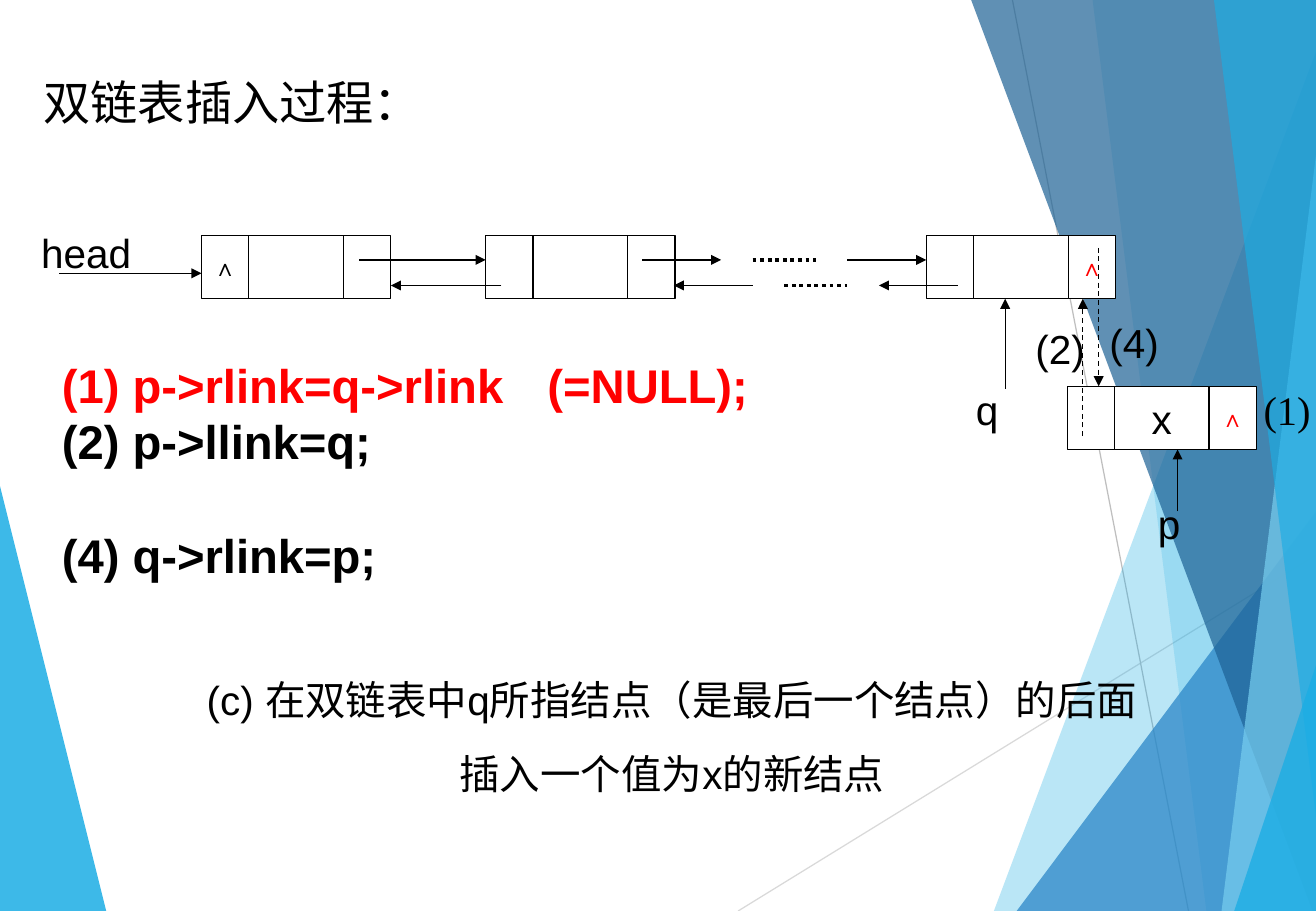
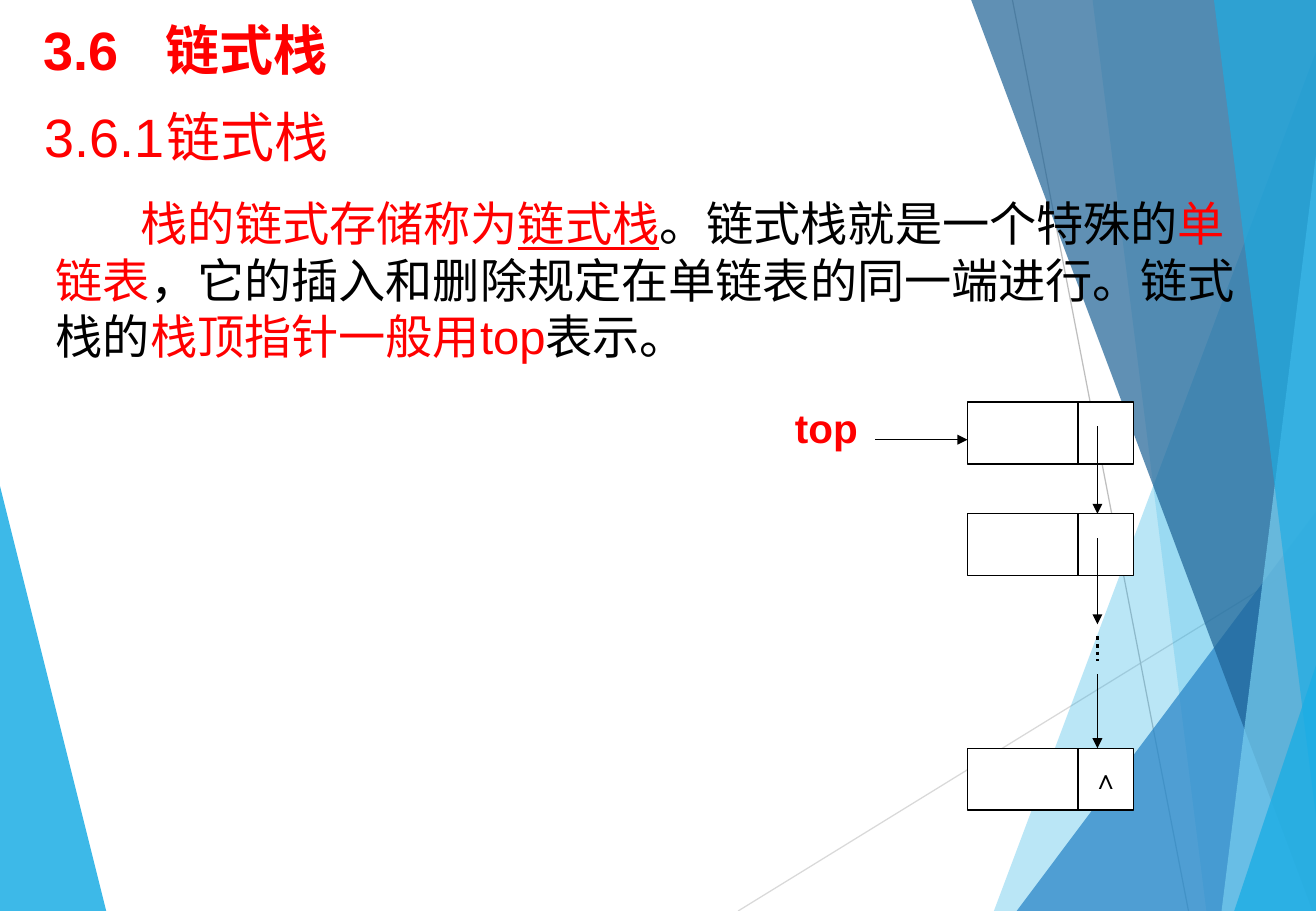
"""Build two slides on linked lists and linked stacks."""
from lxml import etree
from pptx import Presentation
from pptx.dml.color import RGBColor
from pptx.enum.dml import MSO_LINE
from pptx.enum.shapes import MSO_CONNECTOR, MSO_SHAPE
from pptx.enum.text import MSO_ANCHOR, MSO_AUTO_SIZE, PP_ALIGN
from pptx.oxml.ns import qn
from pptx.util import Inches, Pt

RECT, STRAIGHT = MSO_SHAPE.RECTANGLE, MSO_CONNECTOR.STRAIGHT
DASH, DOTS = MSO_LINE.DASH, MSO_LINE.ROUND_DOT
LEFT, CENTER = PP_ALIGN.LEFT, PP_ALIGN.CENTER
TOP, MIDDLE = MSO_ANCHOR.TOP, MSO_ANCHOR.MIDDLE
W, H = 10.84, 7.5
SANS, SERIF = "Arial", "Times New Roman"
C = {"black": "000000", "white": "FFFFFF", "red": "FF0000", "cyan": "1CADE4",
     "blue": "2683C6", "navy": "1D6295", "sky": "77CEEF",
     "grey": "BFBFBF", "pale": "D9D9D9"}

LEFT_BAND = ("cyan", 85, [(0, 4.39), (0.53, H), (0, H)])
GUIDES = [("pale", (6.08, H, W, 4.57)), ("grey", (8.34, 0, 9.79, H))]
RIGHT_BANDS = [
    ("cyan", 30, [(10.56, 0), (8.17, H), (W, H), (W, 0)]),
    ("cyan", 20, [(8.54, 0), (9.96, H), (W, H), (W, 0)]),
    ("blue", 72, [(7.86, H), (W, 4.29), (W, H)]),
    ("navy", 70, [(8.31, 0), (10.51, H), (W, H), (W, 0)]),
    ("sky", 70, [(10.63, 0), (9.83, H), (W, H), (W, 0)]),
    ("cyan", 65, [(9.57, 0), (10.68, H), (10.83, H), (10.82, 0)]),
    ("cyan", 80, [(9.55, H), (W, 5.35), (W, H)]),
]

LINK, DATA, NODE_H = 0.39, 0.78, 0.52
ROW, NEW_ROW = 1.94, 3.18
NEXT_Y, PREV_Y = ROW + 0.2, ROW + 0.41
STACK_X, STACK_Y = 7.97, (3.31, 4.23, 6.16)
STACK_LINK = 9.04
DOUBLE, SINGLE = (LINK, DATA, LINK), (0.91, 0.46)
NIL_RED = ("∧", {"size": 14, "font": SERIF, "color": "red"})
NIL_BLACK = ("∧", {"size": 14, "font": SERIF})
NIL_STACK = ("∧", {"size": 16, "font": SERIF})
RED, BOLD = {"color": "red"}, {"bold": True}
BOLD_RED = {**RED, **BOLD}

SLIDES = [
    {
        "title": ((0.26, 0.55, 8.04, 0.57), ("双链表插入过程：", {"size": 28}), None),
        "body": ((0.41, 2.88, 6.4, 1.97), 0, 3.85, [
            (0, [("(1) p->rlink=q->rlink\t(=NULL);", BOLD_RED)]),
            (0, [("(2) p->llink=q;", BOLD)]),
            (33.6, [("(4) q->rlink=p;", BOLD)]),
        ]),
        "nodes": [
            (1.66, ROW, DOUBLE, NODE_H, {0: NIL_BLACK}),
            (4, ROW, DOUBLE, NODE_H, {}),
            (7.63, ROW, DOUBLE, NODE_H, {2: NIL_RED}),
            (8.79, NEW_ROW, DOUBLE, NODE_H, {1: ("x", {"size": 24}), 2: NIL_RED}),
        ],
        "arrows": [
            (0.49, 2.25, 1.66, 2.25),
            (2.96, NEXT_Y, 4, NEXT_Y), (4.13, PREV_Y, 3.22, PREV_Y),
            (5.29, NEXT_Y, 5.94, NEXT_Y), (6.2, PREV_Y, 5.55, PREV_Y),
            (6.98, NEXT_Y, 7.63, NEXT_Y), (7.89, PREV_Y, 7.24, PREV_Y),
            (8.28, 3.2, 8.28, ROW + NODE_H),
            (9.7, 4.21, 9.7, NEW_ROW + NODE_H),
        ],
        "dashed": [(9.05, 2.04, 9.05, NEW_ROW), (8.92, 3.59, 8.92, ROW + NODE_H)],
        "dots": [(6.2, NEXT_Y, 6.72, NEXT_Y), (6.46, PREV_Y, 6.98, PREV_Y)],
        "labels": [
            ((0.24, 1.83, 1.16, 0.5), LEFT, None, [("head", {"size": 24})]),
            ((7.94, 3.12, 0.7, 0.5), LEFT, None, [("q", {"size": 24})]),
            ((9.44, 4.06, 0.7, 0.5), LEFT, None, [("p", {"size": 24})]),
            ((9.04, 2.57, 0.71, 0.5), LEFT, None, [("(4)", {"size": 24})]),
            ((8.43, 2.62, 0.71, 0.5), LEFT, None, [("(2)", {"size": 24})]),
            ((10.31, 3.12, 0.7, 0.5), LEFT, None, [("(1)", {"size": 24, "font": SERIF})]),
            ((0.09, 5.51, 10.89, 1.11), CENTER, None, [
                ("(c) 在双链表中q所指结点（是最后一个结点）的后面", {"size": 24}),
                ("插入一个值为x的新结点", {"size": 24}),
            ]),
        ],
    },
    {
        "title": ((0.26, 0.09, 9.75, 0.62),
                  ("3.6\t链式栈", {"size": 32, **BOLD_RED}), 0.97),
        "body": ((0.36, 1.55, 10.11, 1.5), 0.7, None, [
            (0, [("栈的链式存储称为", RED), ("链式栈", {**RED, "underline": True}),
                 ("。链式栈就是一个特殊的", {}), ("单链表", RED),
                 ("，它的插入和删除规定在单链表的同一端进行。链式栈的", {}),
                 ("栈顶指针一般用top", RED), ("表示。", {})]),
        ]),
        "nodes": [(STACK_X, y, SINGLE, 0.51, {1: NIL_STACK} if y == STACK_Y[-1] else {})
                  for y in STACK_Y],
        "arrows": [(7.21, 3.62, STACK_X, 3.62)] + [
            (STACK_LINK, y1, STACK_LINK, y2)
            for y1, y2 in ((3.51, STACK_Y[1]), (4.43, 5.14), (5.55, STACK_Y[2]))],
        "dashed": [],
        "dots": [(STACK_LINK, 5.24, STACK_LINK, 5.44)],
        "labels": [
            ((0.27, 0.8, 5.06, 0.64), LEFT, 1.35, [("3.6.1\t链式栈", {"size": 32, **RED})]),
            ((6.45, 3.27, 1.06, 0.5), LEFT, None, [("top", {"size": 24, **BOLD_RED})]),
        ],
    },
]


def rgb(name):
    return RGBColor.from_string(C[name])


def add_run(p, text, size=28, font=SANS, color="black", bold=False, underline=False):
    r = p.add_run()
    r.text = text
    f = r.font
    f.size, f.name, f.bold, f.underline = Pt(size), font, bold, underline
    f.color.rgb = rgb(color)


def format_paragraph(p, align=LEFT, tab=None, indent=0):
    pPr = p._p.get_or_add_pPr()
    pPr.set("marL", "0")
    pPr.set("indent", str(Inches(indent)))
    etree.SubElement(pPr, qn("a:buNone"))
    if tab:
        tabs = etree.SubElement(pPr, qn("a:tabLst"))
        etree.SubElement(tabs, qn("a:tab"), pos=str(Inches(tab)), algn="l")
    p.alignment = align


def place(sp, box):
    sp.left, sp.top, sp.width, sp.height = map(Inches, box)


def format_frame(tf, anchor=TOP, wrap=True):
    tf.auto_size, tf.word_wrap, tf.vertical_anchor = MSO_AUTO_SIZE.NONE, wrap, anchor
    tf.margin_left = tf.margin_right = Inches(0.1)
    tf.margin_top = tf.margin_bottom = Inches(0.05)


def paragraphs(tf, items):
    for i, item in enumerate(items):
        yield (tf.add_paragraph() if i else tf.paragraphs[0]), item


def add_line(s, ends, color="black", width=0.75, dash=None, arrow=False):
    c = s.shapes.add_connector(STRAIGHT, *map(Inches, ends))
    c.line.color.rgb, c.line.width = rgb(color), Pt(width)
    if dash:
        c.line.dash_style = dash
    spPr = c.element.spPr
    if arrow:
        etree.SubElement(spPr.find(qn("a:ln")), qn("a:tailEnd"), type="triangle")
    etree.SubElement(spPr, qn("a:effectLst"))
    return c


def add_band(s, color, alpha, points):
    (x, y), *rest = points
    fb = s.shapes.build_freeform(x, y, scale=Inches(1))
    fb.add_line_segments(rest, close=True)
    sp = fb.convert_to_shape()
    sp.shadow.inherit = False
    sp.fill.solid()
    sp.fill.fore_color.rgb = rgb(color)
    sp.line.fill.background()
    clr = sp.element.spPr.find(qn("a:solidFill"))[0]
    etree.SubElement(clr, qn("a:alpha"), val=str(alpha * 1000))
    return sp


def decorate(layout, s):
    """Draw the bands and move them to the back of the layout."""
    parts = [add_band(s, *LEFT_BAND)]
    parts += [add_line(s, ends, color) for color, ends in GUIDES]
    parts += [add_band(s, *band) for band in RIGHT_BANDS]
    for i, sp in enumerate(parts):
        sp.element.xpath(".//p:cNvPr")[0].set("id", str(100 + i))
        layout.shapes.element.insert(2 + i, sp.element)


def add_node(s, x, y, widths, height, texts):
    for i, width in enumerate(widths):
        left = x + sum(widths[:i])
        sp = s.shapes.add_shape(RECT, *map(Inches, (left, y, width, height)))
        sp.shadow.inherit = False
        sp.fill.solid()
        sp.fill.fore_color.rgb = rgb("white")
        sp.line.color.rgb, sp.line.width = rgb("black"), Pt(0.75)
        if i in texts:
            text, style = texts[i]
            format_frame(sp.text_frame, MIDDLE, wrap=False)
            p = sp.text_frame.paragraphs[0]
            p.alignment = CENTER
            add_run(p, text, **style)


def add_label(s, box, align, tab, lines):
    tf = s.shapes.add_textbox(*map(Inches, box)).text_frame
    format_frame(tf)
    for p, (text, style) in paragraphs(tf, lines):
        format_paragraph(p, align, tab)
        p.space_before = Pt(0 if text == lines[0][0] else 15)
        add_run(p, text, **style)


def fill_title(sp, box, run, tab):
    place(sp, box)
    format_frame(sp.text_frame, MIDDLE)
    p = sp.text_frame.paragraphs[0]
    format_paragraph(p, LEFT, tab)
    add_run(p, run[0], **run[1])


def fill_body(sp, box, indent, tab, items):
    place(sp, box)
    format_frame(sp.text_frame)
    for p, (gap, runs) in paragraphs(sp.text_frame, items):
        format_paragraph(p, LEFT, tab, indent)
        p.line_spacing, p.space_before = Pt(33.6), Pt(gap)
        for text, style in runs:
            add_run(p, text, **style)


def main():
    prs = Presentation()
    prs.slide_width, prs.slide_height = Inches(W), Inches(H)
    layout = prs.slide_layouts[1]
    for i, content in enumerate(SLIDES):
        s = prs.slides.add_slide(layout)
        if i == 0:
            decorate(layout, s)
        fill_title(s.shapes.title, *content["title"])
        fill_body(s.placeholders[1], *content["body"])
        for node in content["nodes"]:
            add_node(s, *node)
        for ends in content["arrows"]:
            add_line(s, ends, arrow=True)
        for ends in content["dashed"]:
            add_line(s, ends, dash=DASH, arrow=True)
        for ends in content["dots"]:
            add_line(s, ends, width=2.25, dash=DOTS)
        for label in content["labels"]:
            add_label(s, *label)
    prs.save("out.pptx")


if __name__ == "__main__":
    main()
